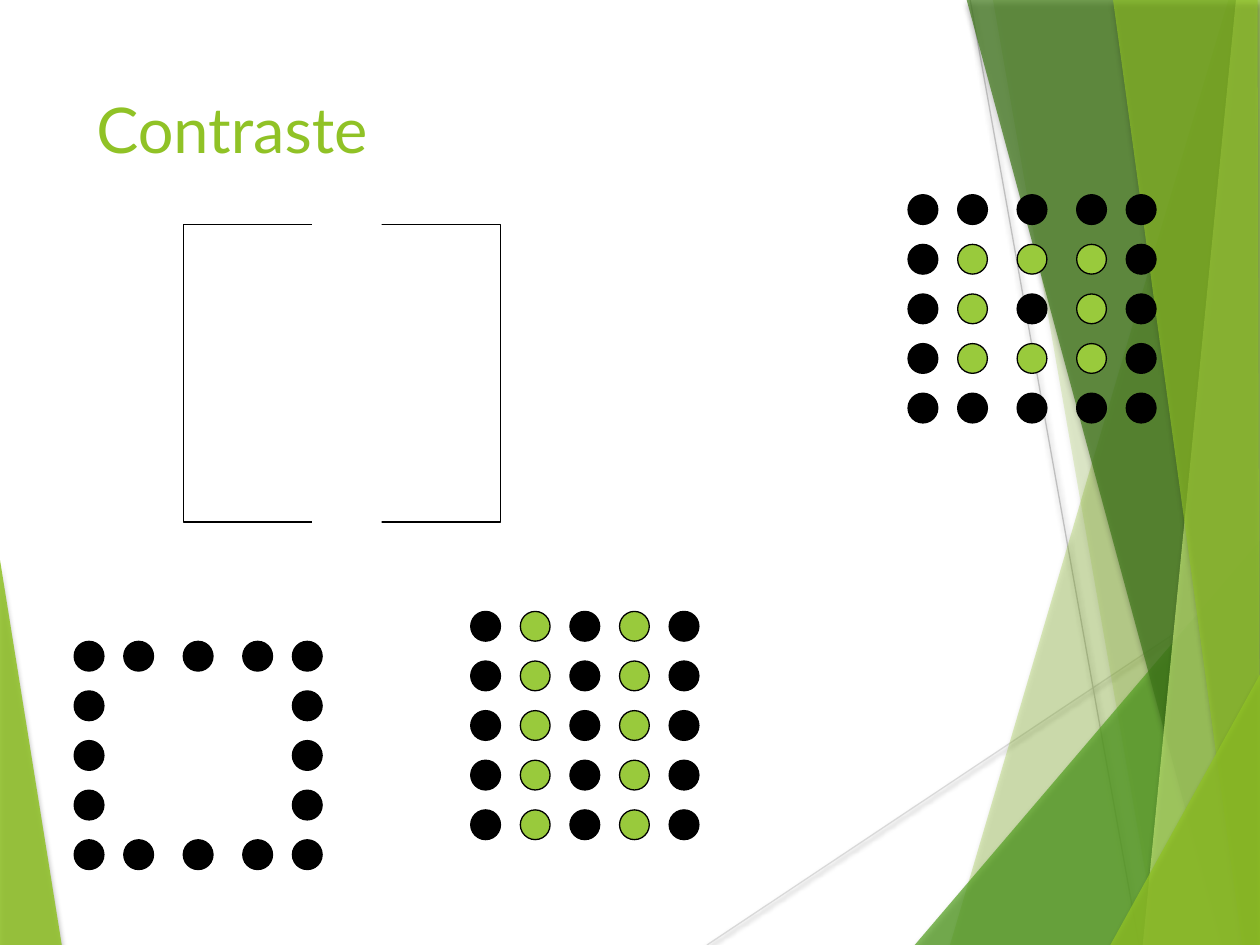
from dataclasses import dataclass
from lxml import etree
from pptx import Presentation
from pptx.dml.color import RGBColor
from pptx.enum.shapes import MSO_CONNECTOR, MSO_SHAPE
from pptx.enum.text import MSO_ANCHOR, PP_ALIGN
from pptx.oxml.ns import qn
from pptx.util import Pt

STRAIGHT = MSO_CONNECTOR.STRAIGHT
OVAL = MSO_SHAPE.OVAL
RECTANGLE = MSO_SHAPE.RECTANGLE
TOP = MSO_ANCHOR.TOP
LEFT = PP_ALIGN.LEFT


@dataclass
class Theme:
    lime: str = "90C226"
    green: str = "54A021"
    forest: str = "3F7819"
    pale: str = "C0E474"
    accent: str = "99CA3C"
    black: str = "000000"
    white: str = "FFFFFF"
    light_gray: str = "D9D9D9"
    gray: str = "BFBFBF"
    font: str = "Lato"
    title_size: float = 36
    line_width: float = 0.75


theme = Theme()


def rgb(value):
    return RGBColor.from_string(value)


def add_shadow(shape, opacity, blur, distance):
    effects = etree.SubElement(shape._element.spPr, qn("a:effectLst"))
    shadow = etree.SubElement(
        effects, qn("a:outerShdw"), blurRad=str(Pt(blur)), dist=str(Pt(distance)),
        dir="5400000", algn="ctr", rotWithShape="0")
    color = etree.SubElement(shadow, qn("a:srgbClr"), val=theme.black)
    etree.SubElement(color, qn("a:alpha"), val=str(opacity * 1000))


presentation = Presentation()
presentation.slide_width = Pt(720)
presentation.slide_height = Pt(540)
slide = presentation.slides.add_slide(presentation.slide_layouts[6])
shapes = slide.shapes

rays = [
    ((404, 540), (720, 329.5), theme.light_gray),
    ((554.4, 0), (650.9, 540), theme.gray),
]
facets = [
    (theme.lime, 30, [(702, 0), (542.9, 540), (720, 540), (720, 0)]),
    (theme.lime, 20, [(567.4, 0), (661.7, 540), (720, 540), (720, 0)]),
    (theme.green, 72, [(522.7, 540), (720, 308.9), (720, 540)]),
    (theme.forest, 70, [(552.4, 0), (698.4, 540), (720, 540), (720, 0)]),
    (theme.pale, 70, [(706.3, 0), (653, 540), (720, 540), (720, 0)]),
    (theme.lime, 65, [(636, 0), (709.9, 540), (720, 540), (718.6, 0)]),
    (theme.lime, 80, [(634.5, 540), (720, 385.4), (720, 540)]),
]
left_facet = (theme.lime, 85, [(0, 320), (35.3, 540), (0, 540)])

for color, opacity, corners in [left_facet] + facets:
    points = [(Pt(x), Pt(y)) for x, y in corners]
    builder = shapes.build_freeform(*points[0])
    builder.add_line_segments(points[1:], close=True)
    facet = builder.convert_to_shape()
    facet.fill.solid()
    facet.fill.fore_color.rgb = rgb(color)
    fill_color = facet._element.spPr.find(qn("a:solidFill"))[0]
    etree.SubElement(fill_color, qn("a:alpha"), val=str(opacity * 1000))
    facet.line.fill.background()
    add_shadow(facet, 35, 3, 2)

    if corners is left_facet[2]:
        for start, end, ray_color in rays:
            ray = shapes.add_connector(
                STRAIGHT, Pt(start[0]), Pt(start[1]), Pt(end[0]), Pt(end[1]))
            ray.line.color.rgb = rgb(ray_color)
            ray.line.width = Pt(theme.line_width)
            add_shadow(ray, 38, 3.1, 1.6)

title = shapes.add_textbox(Pt(48), Pt(48), Pt(500), Pt(104)).text_frame
title.word_wrap = True
title.vertical_anchor = TOP
title.paragraphs[0].alignment = LEFT
title_run = title.paragraphs[0].add_run()
title_run.text = "Contraste"
title_run.font.name = theme.font
title_run.font.size = Pt(theme.title_size)
title_run.font.color.rgb = rgb(theme.lime)

dot_size = 17
row_step = 28.35
even_columns = [row_step * column for column in range(5)]
wide_columns = [0, 28.35, 62.35, 96.35, 124.7]
dot_colors = {"#": theme.black, "o": theme.accent}
dot_patterns = [
    (269, 349.4, even_columns, ["#o#o#"] * 5),
    (518.9, 111.3, wide_columns, ["#####", "#ooo#", "#o#o#", "#ooo#", "#####"]),
    (42.4, 366.5, wide_columns, ["#####"] + ["#...#"] * 3 + ["#####"]),
]
for left, top, columns, rows in dot_patterns:
    for row, marks in enumerate(rows):
        for offset, mark in zip(columns, marks):
            if mark not in dot_colors:
                continue
            dot = shapes.add_shape(
                OVAL, Pt(left + offset), Pt(top + row * row_step),
                Pt(dot_size), Pt(dot_size))
            dot.shadow.inherit = False
            dot.fill.solid()
            dot.fill.fore_color.rgb = rgb(dot_colors[mark])
            dot.line.color.rgb = rgb(theme.black)
            dot.line.width = Pt(theme.line_width)

square = shapes.add_shape(RECTANGLE, Pt(104.7), Pt(128.3), Pt(181.4), Pt(170))
square.shadow.inherit = False
square.fill.background()
square.line.color.rgb = rgb(theme.black)
square.line.width = Pt(theme.line_width)

gap = shapes.add_shape(RECTANGLE, Pt(178.4), Pt(106), Pt(39.7), Pt(209.5))
gap.shadow.inherit = False
gap.fill.solid()
gap.fill.fore_color.rgb = rgb(theme.white)
gap.line.fill.background()

presentation.save("out.pptx")
